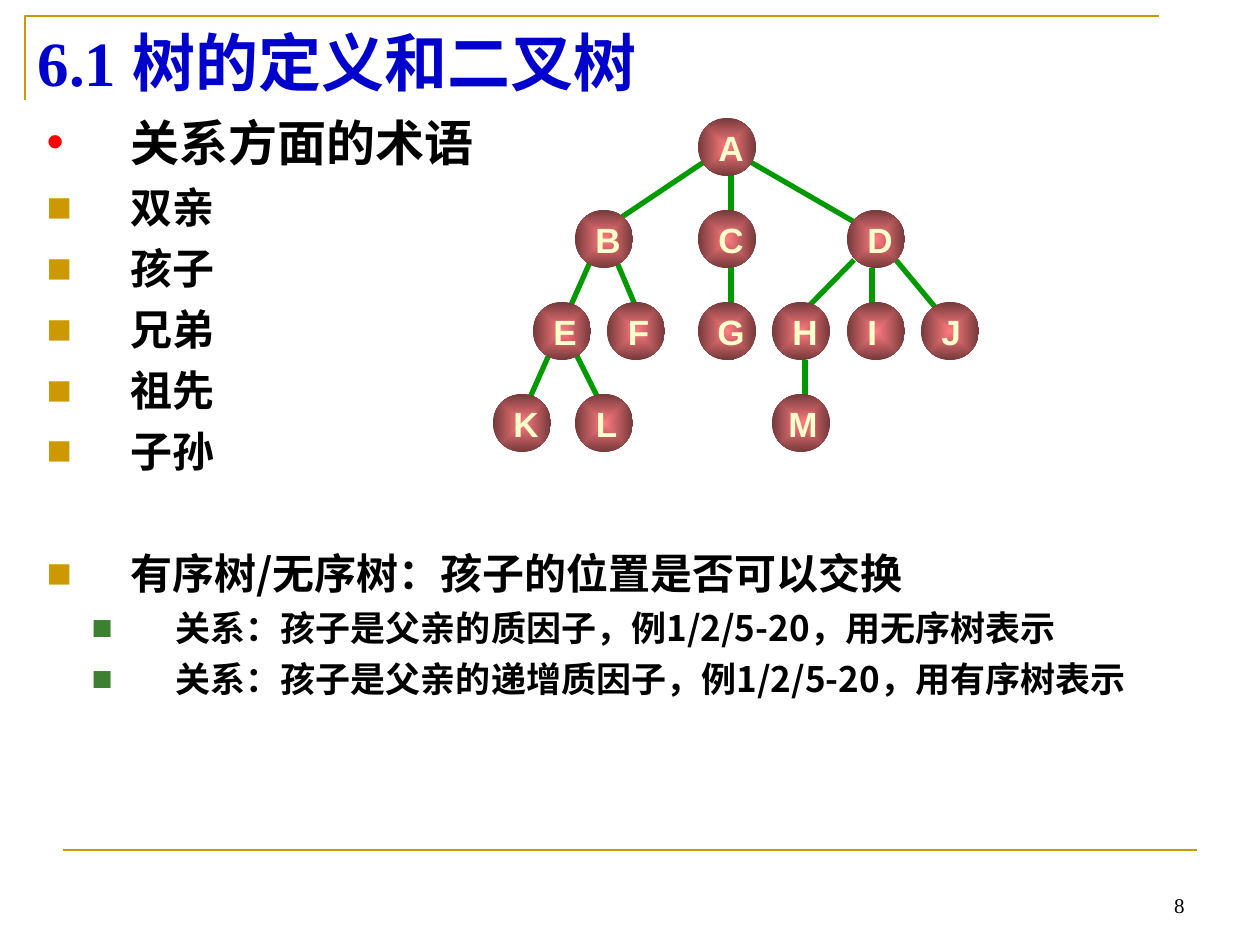
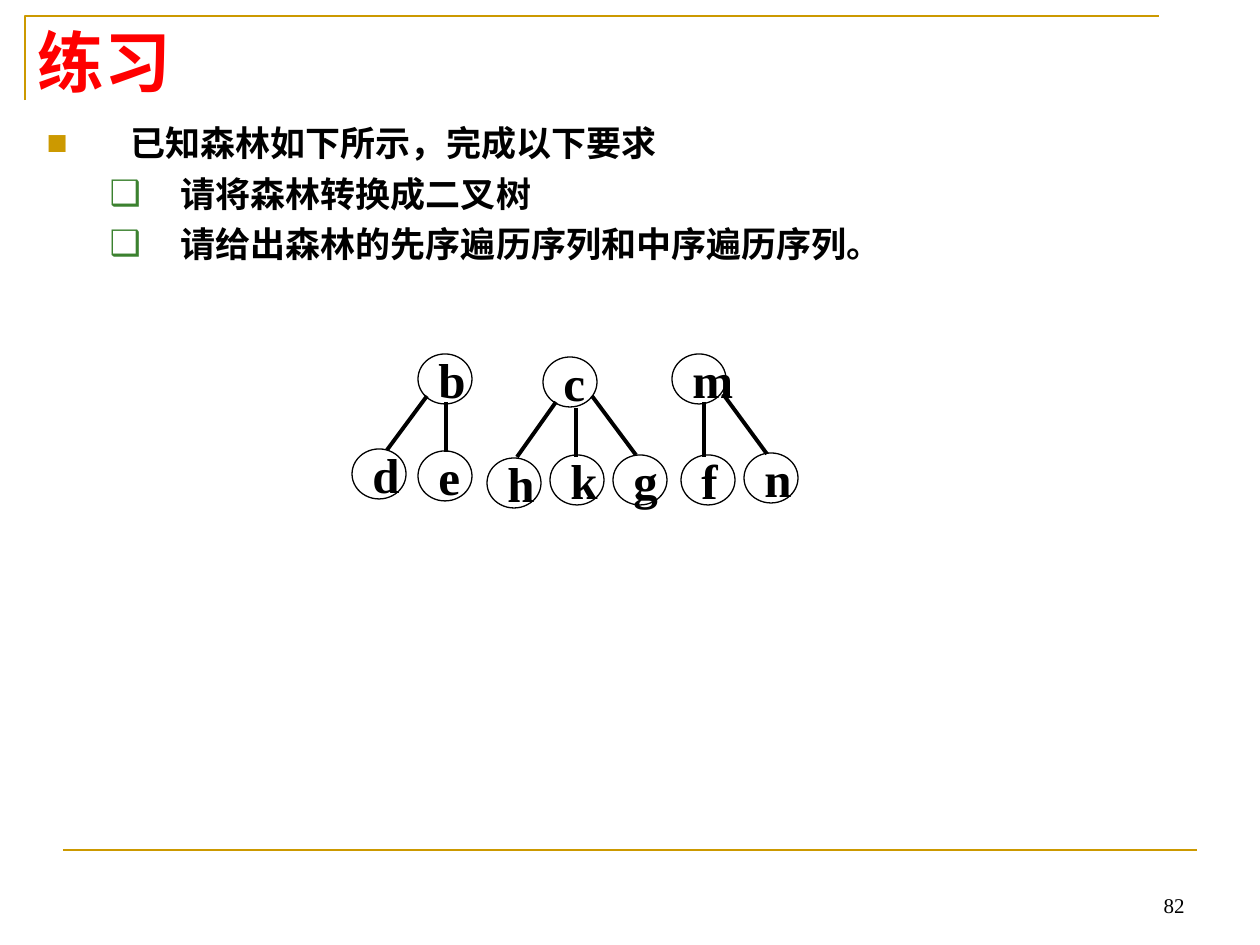
import lxml.etree
import pptx
import pptx.dml.color
import pptx.enum.shapes
import pptx.enum.text
import pptx.oxml
import pptx.oxml.ns
import pptx.util

PX = 7257  # EMU in one px, at 126 px to the inch
GOLD, GREEN, RED, BLACK = "CC9900", "3B812F", "FF0000", "000000"
CJK, SERIF, SANS = "Noto Sans CJK SC", "Times New Roman", "Arial"

rgb = pptx.dml.color.RGBColor.from_string
qn = pptx.oxml.ns.qn
Pt = pptx.util.Pt
OVAL = pptx.enum.shapes.MSO_SHAPE.OVAL
STRAIGHT = pptx.enum.shapes.MSO_CONNECTOR.STRAIGHT
ALIGN = pptx.enum.text.PP_ALIGN
ANCHOR = pptx.enum.text.MSO_ANCHOR
AUTO_SIZE = pptx.enum.text.MSO_AUTO_SIZE


def add_run(p, text, size, color, font, bold=True):
    r = p.add_run()
    r.text = text
    r.font.size, r.font.bold, r.font.name = Pt(size), bold, font
    r.font.color.rgb = rgb(color)
    lxml.etree.SubElement(r.font._element, qn("a:ea"), typeface=CJK)


def add_bullet(p, char, color, margin, indent):
    pPr = p._p.get_or_add_pPr()
    pPr.set("marL", str(margin * PX))
    pPr.set("indent", str(-indent * PX))
    clr = lxml.etree.SubElement(pPr, qn("a:buClr"))
    lxml.etree.SubElement(clr, qn("a:srgbClr"), val=color)
    lxml.etree.SubElement(pPr, qn("a:buFont"), typeface=SANS)
    lxml.etree.SubElement(pPr, qn("a:buChar"), char=char)


# Bullet styles: level, sign, colour, margin, indent, size, font
TOPIC = (0, "•", RED, 84, 84, 28, CJK)
TERM = (0, "■", GOLD, 84, 84, 24, CJK)
EXAMPLE = (1, "■", GREEN, 129, 84, 20, CJK)
TASK = (0, "■", GOLD, 84, 84, 20, CJK)
STEP = (1, "❑", GREEN, 134, 71, 20, SANS)

# Slide content: list items are text, style, space before
term_slide = dict(
    number="8", title=("6.1 树的定义和二叉树", 36, "0000CC"), body=(34, 106, 1171, 714),
    items=[("关系方面的术语", TOPIC, 0)]
    + [(term, TERM, 6) for term in ("双亲", "孩子", "兄弟", "祖先", "子孙")]
    + [("有序树/无序树：孩子的位置是否可以交换", TERM, 41),
       ("关系：孩子是父亲的质因子，例1/2/5-20，用无序树表示", EXAMPLE, 5),
       ("关系：孩子是父亲的递增质因子，例1/2/5-20，用有序树表示", EXAMPLE, 5)],
    edge_style=("009900", 3),
    edges=[(896, 260, 945, 319), (854, 260, 805, 310), (872, 268, 872, 310),
           (805, 360, 805, 410), (747, 160, 863, 227), (707, 160, 607, 227),
           (731, 168, 731, 360), (616, 260, 641, 319), (575, 352, 600, 402),
           (591, 260, 517, 427)])
exercise_slide = dict(
    number="82", title=("练习", 38, RED), body=(34, 115, 1191, 704),
    items=[("已知森林如下所示，完成以下要求", TASK, 0),
           ("请将森林转换成二叉树", STEP, 5),
           ("请给出森林的先序遍历序列和中序遍历序列。", STEP, 5)],
    edge_style=(BLACK, 2.25),
    edges=[(427, 396, 387, 450), (446, 402, 446, 452), (704, 402, 704, 457),
           (592, 396, 636, 455), (556, 402, 517, 457), (576, 408, 576, 457),
           (723, 394, 767, 454)])

prs = pptx.Presentation()
prs.slide_width, prs.slide_height = pptx.util.Inches(10), pptx.util.Inches(7.5)

# Frame, title, list, page number and lines of each slide
slides = []
for content in (term_slide, exercise_slide):
    s = prs.slides.add_slide(prs.slide_layouts[1])
    slides.append(s)

    # Corner frame
    builder = s.shapes.build_freeform(25, 100, scale=PX)
    builder.add_line_segments([(25, 16), (1159, 16)], close=False)
    frame = builder.convert_to_shape()
    frame.shadow.inherit = False
    frame.fill.background()
    frame.line.color.rgb, frame.line.width = rgb(GOLD), Pt(1.5)

    # Title
    title = s.shapes.title
    title.left, title.top, title.width, title.height = 25 * PX, 16 * PX, 1134 * PX, 90 * PX
    tf = title.text_frame
    tf.auto_size, tf.vertical_anchor = AUTO_SIZE.NONE, ANCHOR.MIDDLE
    p = tf.paragraphs[0]
    p.alignment = ALIGN.LEFT
    add_run(p, *content["title"], SERIF)

    # List
    body = s.placeholders[1]
    body.left, body.top, body.width, body.height = [v * PX for v in content["body"]]
    tf = body.text_frame
    tf.auto_size = AUTO_SIZE.NONE
    for i, (text, style, before) in enumerate(content["items"]):
        level, char, color, margin, indent, size, font = style
        p = tf.add_paragraph() if i else tf.paragraphs[0]
        p.level = level
        add_bullet(p, char, color, margin, indent)
        p.space_before, p.line_spacing = Pt(before), Pt(1.2 * size)
        add_run(p, text, size, BLACK, font)

    # Page number
    tf = s.shapes.add_textbox(903 * PX, 861 * PX, 294 * PX, 63 * PX).text_frame
    tf.word_wrap, tf.vertical_anchor = True, ANCHOR.BOTTOM
    p = tf.paragraphs[0]
    p.alignment = ALIGN.RIGHT
    add_run(p, content["number"], 12, BLACK, SERIF, bold=False)

    # Footer rule and tree edges
    lines = [((63, 850, 1197, 850), (GOLD, 1.5))]
    lines += [(edge, content["edge_style"]) for edge in content["edges"]]
    for ends, (color, width) in lines:
        line = s.shapes.add_connector(STRAIGHT, *[v * PX for v in ends])
        line.line.color.rgb, line.line.width = rgb(color), Pt(width)
        lxml.etree.SubElement(line._element.spPr, qn("a:effectLst"))

# Tree nodes of the first slide, row by row: letter, left, label width
TREE_ROWS = [
    [("A", 698, 50)],
    [("B", 575, 50), ("C", 698, 50), ("D", 847, 50)],
    [("E", 533, 48), ("F", 607, 47), ("G", 698, 51),
     ("H", 772, 50), ("I", 847, 34), ("J", 921, 44)],
    [("K", 493, 50), ("L", 575, 47), ("M", 772, 54)],
]
NODE = 58
RADIAL = ('<a:path xmlns:a="http://schemas.openxmlformats.org/drawingml/2006/main" path="rect">'
          '<a:fillToRect l="50000" t="50000" r="50000" b="50000"/></a:path>')
s = slides[0]
for row, nodes in enumerate(TREE_ROWS):
    top = 118 + 92 * row
    for letter, left, label_width in nodes:
        sp = s.shapes.add_shape(OVAL, left * PX, top * PX, NODE * PX, NODE * PX)
        sp.shadow.inherit = False
        sp.line.fill.background()
        sp.fill.gradient()
        for stop, color in zip(sp.fill.gradient_stops, ("FF7C80", "76393B")):
            stop.color.rgb = rgb(color)
        grad = sp._element.spPr.find(qn("a:gradFill"))
        grad.replace(grad.find(qn("a:lin")), pptx.oxml.parse_xml(RADIAL))

        label_left = left + min(8, NODE - label_width)
        label = s.shapes.add_textbox(label_left * PX, (top + 2) * PX, label_width * PX, 55 * PX)
        tf = label.text_frame
        tf.word_wrap, tf.vertical_anchor = False, ANCHOR.MIDDLE
        p = tf.paragraphs[0]
        p.alignment = ALIGN.CENTER
        add_run(p, letter, 20, "FFFFCC", SANS)

# Forest nodes of the second slide: letter, left, top
FOREST = [("b", 418, 354), ("d", 352, 449), ("e", 418, 451),
          ("c", 543, 357), ("h", 487, 458), ("k", 550, 455), ("g", 613, 455),
          ("m", 672, 354), ("f", 681, 455), ("n", 744, 453)]
for letter, left, top in FOREST:
    sp = slides[1].shapes.add_shape(OVAL, left * PX, top * PX, 54 * PX, 50 * PX)
    sp.shadow.inherit = False
    sp.fill.background()
    sp.line.color.rgb, sp.line.width = rgb(BLACK), Pt(0.75)
    tf = sp.text_frame
    tf.word_wrap, tf.vertical_anchor = False, ANCHOR.MIDDLE
    p = tf.paragraphs[0]
    p.alignment = ALIGN.LEFT
    add_run(p, letter, 28, BLACK, SERIF)

prs.save("out.pptx")
